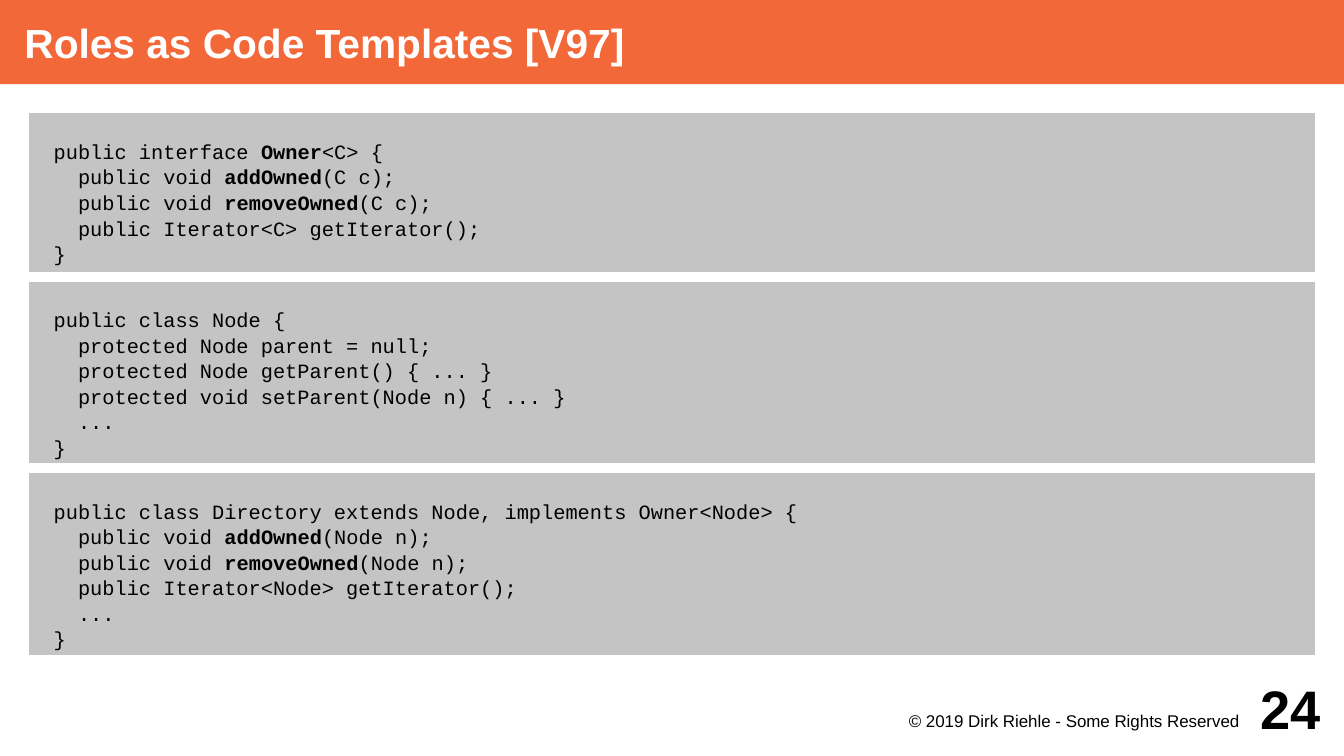
from dataclasses import dataclass

from pptx import Presentation
from pptx.dml.color import RGBColor
from pptx.enum.text import MSO_ANCHOR as Anchor, MSO_AUTO_SIZE as AutoSize, PP_ALIGN as Align
from pptx.oxml.ns import qn
from pptx.util import Inches, Pt


@dataclass(frozen=True)
class Theme:
    accent: RGBColor = RGBColor(0xF3, 0x68, 0x38)
    panel: RGBColor = RGBColor(0xC4, 0xC4, 0xC4)
    white: RGBColor = RGBColor(0xFF, 0xFF, 0xFF)
    black: RGBColor = RGBColor(0x00, 0x00, 0x00)
    text_font: str = "Arial"
    code_font: str = "Courier New"
    title_size: int = 24
    code_size: int = 12
    footer_size: int = 10
    number_size: int = 32


THEME = Theme()
SLIDE_WIDTH, SLIDE_HEIGHT = 11.02, 6.2
MARGIN = 0.2
BOLD_MARK = "**"

CODE_BLOCKS = [
    """public interface **Owner**<C> {
  public void **addOwned**(C c);
  public void **removeOwned**(C c);
  public Iterator<C> getIterator();
}""",
    """public class Node {
  protected Node parent = null;
  protected Node getParent() { ... }
  protected void setParent(Node n) { ... }
  ...
}""",
    """public class Directory extends Node, implements Owner<Node> {
  public void **addOwned**(Node n);
  public void **removeOwned**(Node n);
  public Iterator<Node> getIterator();
  ...
}""",
]


def place(shape, left, top, width, height):
    shape.left, shape.top = Inches(left), Inches(top)
    shape.width, shape.height = Inches(width), Inches(height)


def set_frame(text_frame, insets, anchor=Anchor.TOP):
    text_frame.word_wrap = True
    text_frame.auto_size = AutoSize.NONE
    text_frame.vertical_anchor = anchor
    (text_frame.margin_left, text_frame.margin_top,
     text_frame.margin_right, text_frame.margin_bottom) = map(Inches, insets)


def style_run(run, name, size, color, bold=False):
    run.font.name, run.font.size, run.font.bold = name, Pt(size), bold
    run.font.color.rgb = color


def write_line(text_frame, text, size, color, align, bold=False):
    text_frame.text = text
    paragraph = text_frame.paragraphs[0]
    paragraph.alignment = align
    style_run(paragraph.runs[0], THEME.text_font, size, color, bold)


def add_title(title, text, box):
    place(title, *box)
    title.fill.solid()
    title.fill.fore_color.rgb = THEME.accent
    set_frame(title.text_frame, (MARGIN, 0, 0, 0), Anchor.MIDDLE)
    write_line(title.text_frame, text, THEME.title_size, THEME.white, Align.LEFT, True)


def write_code_line(paragraph, line):
    properties = paragraph._p.get_or_add_pPr()
    properties.set("marL", "0")
    properties.set("indent", "0")
    paragraph.alignment = Align.LEFT
    paragraph.line_spacing = 1.05
    paragraph.space_before = paragraph.space_after = Pt(0)
    properties.append(properties.makeelement(qn("a:buNone"), {}))
    # Every second part lies between bold marks
    for index, part in enumerate(line.split(BOLD_MARK)):
        run = paragraph.add_run()
        run.text = part
        style_run(run, THEME.code_font, THEME.code_size, THEME.black, index % 2 == 1)


def add_code_panel(panel, code, box):
    place(panel, *box)
    panel.fill.solid()
    panel.fill.fore_color.rgb = THEME.panel
    panel.line.color.rgb = THEME.white
    panel.line.width = Pt(5.67)
    text_frame = panel.text_frame
    set_frame(text_frame, (0.24, 0.24, 0.04, 0.04))
    for index, line in enumerate(code.splitlines()):
        paragraph = text_frame.add_paragraph() if index else text_frame.paragraphs[0]
        write_code_line(paragraph, line)


def add_code_stack(panels, left, top, width):
    for panel, code in zip(panels, CODE_BLOCKS):
        height = 0.43 + 0.19 * len(code.splitlines())
        add_code_panel(panel, code, (left, top, width, height))
        top += height


def add_footer(slide, left, top, width, height):
    number_width = 0.79
    # Copyright line
    copyright_box = slide.shapes.add_textbox(
        Inches(left), Inches(top + 0.3), Inches(3.15), Inches(0.3))
    set_frame(copyright_box.text_frame, (0, 0.02, 0.08, 0))
    write_line(copyright_box.text_frame, "© 2019 Dirk Riehle - Some Rights Reserved",
               THEME.footer_size, THEME.black, Align.RIGHT)
    # Page number
    number_box = slide.shapes.add_textbox(
        Inches(left + width - number_width), Inches(top), Inches(number_width), Inches(height))
    set_frame(number_box.text_frame, (0, 0, 0, 0), Anchor.MIDDLE)
    write_line(number_box.text_frame, "24", THEME.number_size, THEME.black, Align.RIGHT, True)


def build_code_slide(presentation):
    # The comparison layout offers a title and four bodies
    slide = presentation.slides.add_slide(presentation.slide_layouts[4])
    title, *bodies = slide.placeholders
    panels, unused = bodies[:len(CODE_BLOCKS)], bodies[len(CODE_BLOCKS):]
    for placeholder in unused:
        placeholder.element.getparent().remove(placeholder.element)

    add_title(title, "Roles as Code Templates [V97]", (0, 0, SLIDE_WIDTH, 0.69))
    add_code_stack(panels, MARGIN, 0.89, SLIDE_WIDTH - 2 * MARGIN)
    add_footer(slide, 7.09, 5.51, 3.74, 0.59)


def main():
    presentation = Presentation()
    presentation.slide_width = Inches(SLIDE_WIDTH)
    presentation.slide_height = Inches(SLIDE_HEIGHT)
    build_code_slide(presentation)
    presentation.save("out.pptx")


if __name__ == "__main__":
    main()
